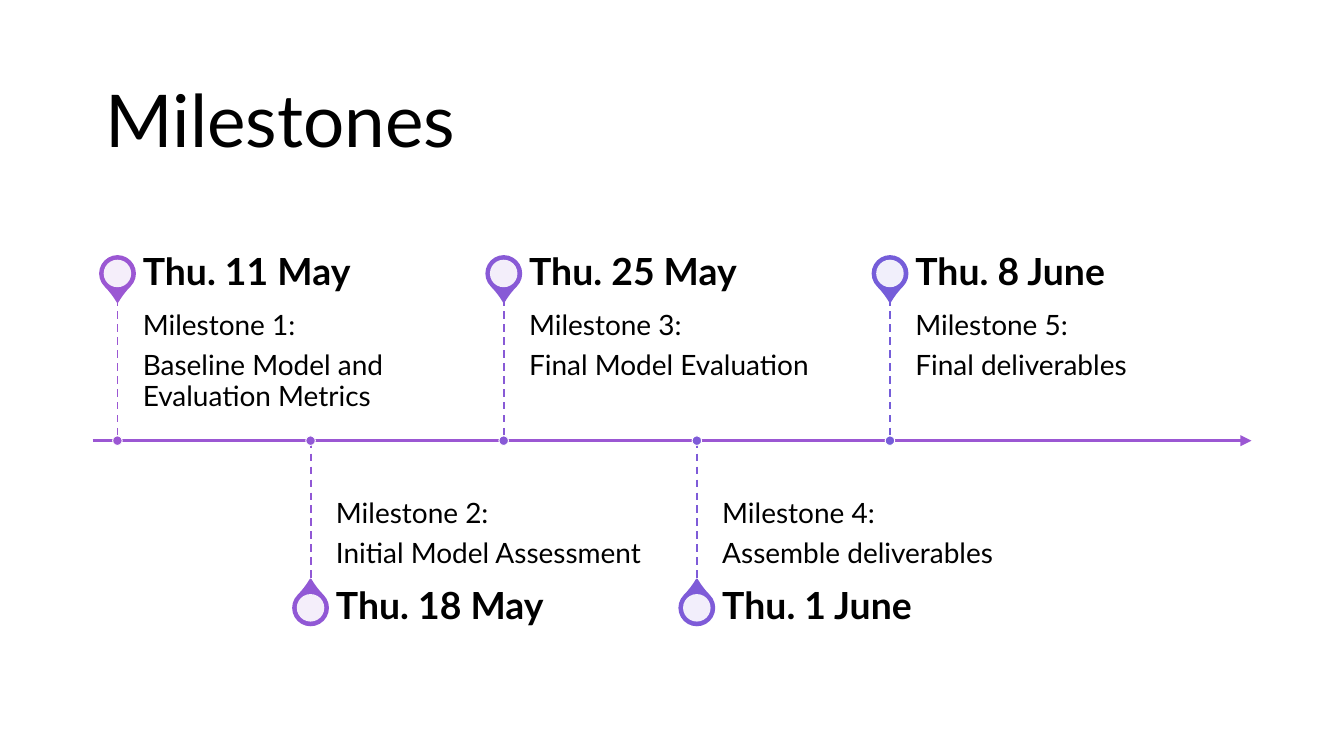
import pptx
import pptx.dml.color
import pptx.enum.dml
import pptx.enum.shapes
import pptx.enum.text
import pptx.oxml
import pptx.oxml.ns
import pptx.util
from pptx.util import Cm

ANCHOR = pptx.enum.text.MSO_ANCHOR
SHAPE = pptx.enum.shapes.MSO_SHAPE

AXIS_LEFT, AXIS_RIGHT, AXIS_Y = 1.75, 23.65, 8.33
FIRST_X, STEP_X = 2.22, 3.65
STEM_HEIGHT, DATE_HEIGHT = 2.69, 0.94
LABEL_GAP, LABEL_WIDTH = 0.48, 6.07
PIN_SIZE, HOLE_SIZE, DOT_SIZE = 0.66, 0.52, 0.18

MILESTONES = [
    ("Thu. 11 May", "Baseline Model and Evaluation Metrics", "9B57D3"),
    ("Thu. 18 May", "Initial Model Assessment", "9158D5"),
    ("Thu. 25 May", "Final Model Evaluation", "885AD6"),
    ("Thu. 1 June", "Assemble deliverables", "7E5BD8"),
    ("Thu. 8 June", "Final deliverables", "755DD9"),
]


def color(hex_text):
    return pptx.dml.color.RGBColor.from_string(hex_text)


def add_xml(parent, tag, **attributes):
    """Append an empty DrawingML element such as a:tailEnd."""
    child = pptx.oxml.parse_xml(f"<{tag} {pptx.oxml.ns.nsdecls('a')}/>")
    for name, value in attributes.items():
        child.set(name, value)
    parent.append(child)


def write(frame, *lines, size, bold=False, space_after=0):
    """Fill a text frame with one paragraph for each line."""
    for index, line in enumerate(lines):
        para = frame.paragraphs[0] if index == 0 else frame.add_paragraph()
        para.line_spacing = 0.9
        para.space_after = pptx.util.Pt(space_after)
        span = para.add_run()
        span.text = line
        span.font.name = "Lato"
        span.font.size = pptx.util.Pt(size)
        span.font.bold = bold
        span.font.color.rgb = color("000000")


class TimelineSlide:
    def __init__(self, deck):
        self.page = deck.slides.add_slide(deck.slide_layouts[6])

    def text(self, left, top, width, height, *lines, anchor=ANCHOR.MIDDLE,
             insets=(0, 0, 0.36, 0), **style):
        """Add a text box; insets run left, top, right, bottom."""
        box = self.page.shapes.add_textbox(Cm(left), Cm(top), Cm(width), Cm(height))
        frame = box.text_frame
        frame.word_wrap = True
        frame.vertical_anchor = anchor
        (frame.margin_left, frame.margin_top,
         frame.margin_right, frame.margin_bottom) = map(Cm, insets)
        write(frame, *lines, **style)

    def line(self, start, end, hex_text, weight, dashed=False, arrow=False):
        connector = self.page.shapes.add_connector(
            pptx.enum.shapes.MSO_CONNECTOR.STRAIGHT, *map(Cm, start + end))
        connector.line.color.rgb = color(hex_text)
        connector.line.width = pptx.util.Pt(weight)
        if dashed:
            connector.line.dash_style = pptx.enum.dml.MSO_LINE.DASH
        if arrow:
            add_xml(connector.line._get_or_add_ln(), "a:tailEnd", type="triangle")
        add_xml(connector._element.spPr, "a:effectLst")

    def centred(self, kind, x, y, size, fill, outline=None, weight=1):
        """Add a square-framed shape centred on x, y."""
        shape = self.page.shapes.add_shape(
            kind, Cm(x - size / 2), Cm(y - size / 2), Cm(size), Cm(size))
        shape.shadow.inherit = False
        shape.fill.solid()
        shape.fill.fore_color.rgb = color(fill)
        if outline:
            shape.line.color.rgb = color(outline)
            shape.line.width = pptx.util.Pt(weight)
        else:
            shape.line.fill.background()
        return shape

    def pin(self, x, y, hex_text, rotation):
        drop = self.centred(SHAPE.TEAR, x, y, PIN_SIZE, hex_text, hex_text)
        drop.adjustments[0] = 1.15
        drop.rotation = rotation
        hole = self.centred(SHAPE.OVAL, x, y, HOLE_SIZE, "FFFFFF")
        solid = hole._element.spPr.find(pptx.oxml.ns.qn("a:solidFill"))
        add_xml(solid[0], "a:alpha", val="90000")

    def milestone(self, index, date, task, hex_text):
        """Odd milestones hang below the axis, even ones stand above it."""
        x = FIRST_X + index * STEP_X
        if index % 2:
            note_top, date_top = AXIS_Y, AXIS_Y + STEM_HEIGHT
            stem_end, rotation = date_top, 315
            anchor, insets = ANCHOR.BOTTOM, (0, 0.41, 0, 0.25)
        else:
            note_top = stem_end = AXIS_Y - STEM_HEIGHT
            date_top, rotation = note_top - DATE_HEIGHT, 135
            anchor, insets = ANCHOR.TOP, (0, 0.25, 0.25, 0.41)
        label_x = x + LABEL_GAP
        self.pin(x, date_top + DATE_HEIGHT / 2, hex_text, rotation)
        self.text(label_x, note_top, LABEL_WIDTH, STEM_HEIGHT,
                  f"Milestone {index + 1}:", task,
                  anchor=anchor, insets=insets, size=15, space_after=5.25)
        self.text(label_x, date_top, LABEL_WIDTH, DATE_HEIGHT, date,
                  size=20, bold=True)
        top, bottom = sorted((stem_end, AXIS_Y))
        self.line((x, top), (x, bottom), hex_text, 1, dashed=True)
        self.centred(SHAPE.OVAL, x, AXIS_Y, DOT_SIZE, hex_text, "FFFFFF", 0.5)


def main():
    deck = pptx.Presentation()
    deck.slide_width, deck.slide_height = Cm(25.4), Cm(14.29)
    slide = TimelineSlide(deck)
    slide.text(AXIS_LEFT, 1.17, AXIS_RIGHT - AXIS_LEFT, 2.36, "Milestones",
               insets=(0.25, 0.13, 0.25, 0.13), size=39)
    slide.line((AXIS_LEFT, AXIS_Y), (AXIS_RIGHT, AXIS_Y), "9B57D3", 1.5, arrow=True)
    for index, details in enumerate(MILESTONES):
        slide.milestone(index, *details)
    deck.save("out.pptx")


if __name__ == "__main__":
    main()
